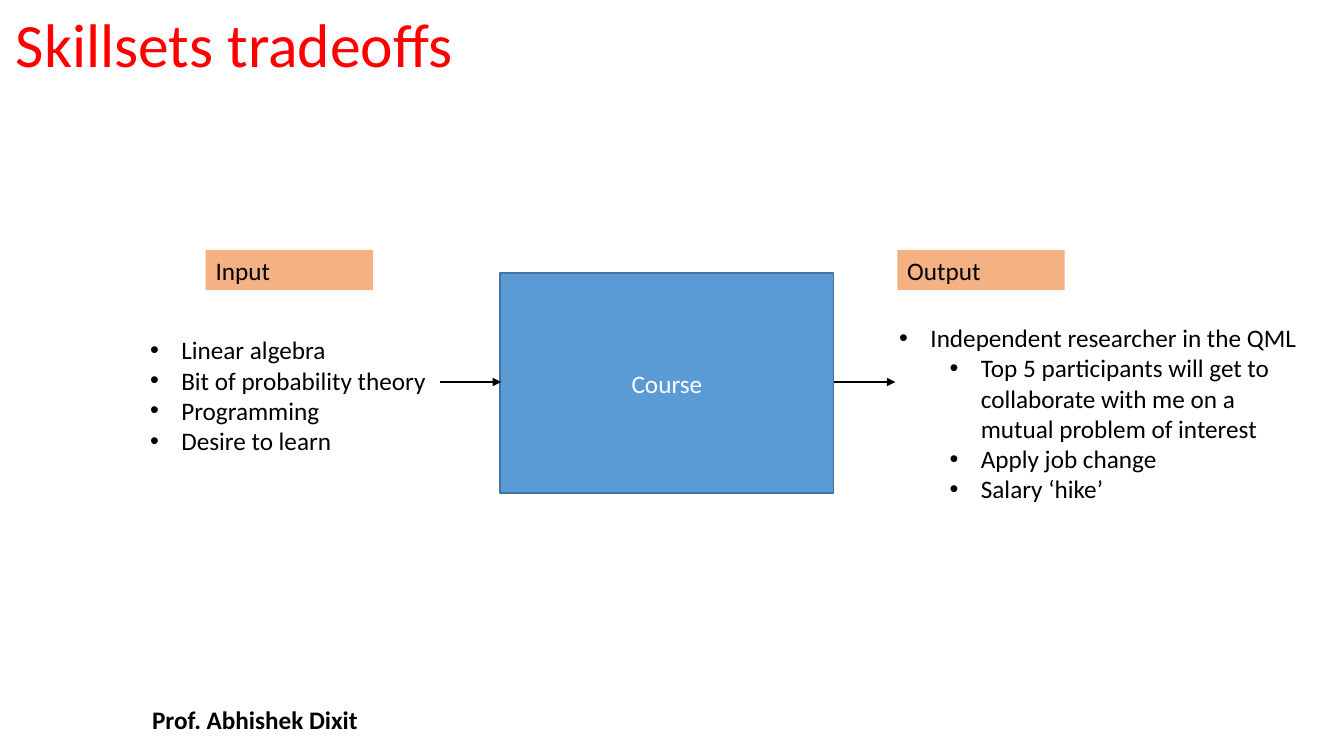
"""Build the skillsets slide: course inputs, the course, and its outputs."""
from dataclasses import dataclass

from lxml import etree
from pptx import Presentation
from pptx.dml.color import RGBColor
from pptx.enum.shapes import MSO_CONNECTOR, MSO_SHAPE
from pptx.enum.text import MSO_ANCHOR, PP_ALIGN
from pptx.oxml.ns import qn
from pptx.util import Inches, Pt

RECT = MSO_SHAPE.RECTANGLE
STRAIGHT = MSO_CONNECTOR.STRAIGHT
TOP, MIDDLE = MSO_ANCHOR.TOP, MSO_ANCHOR.MIDDLE
LEFT, CENTER = PP_ALIGN.LEFT, PP_ALIGN.CENTER
FONT = "Calibri"
ARROW_Y, ARROW_LENGTH = 3.79, 0.61
BULLET_INDENT, LEVEL_INDENT = 0.31, 0.5


@dataclass
class Item:
    text: str
    level: int = 0


@dataclass
class Box:
    left: float
    top: float
    width: float
    height: float
    items: list[Item]
    size: int = 18
    color: str = "000000"
    bold: bool = False
    bullets: bool = False
    fill: str | None = None
    line: str | None = None
    anchor: MSO_ANCHOR = TOP
    align: PP_ALIGN = LEFT
    spacing: float = 1.0


BOXES = [
    Box(1.41, 6.94, 2.37, 0.4, [Item("Prof. Abhishek Dixit")], bold=True),
    Box(0.06, 0.03, 13.2, 0.89, [Item("Skillsets tradeoffs")], size=44,
        color="FF0000", anchor=MIDDLE, spacing=0.9),
    Box(4.96, 2.71, 3.31, 2.18, [Item("Course")], color="FFFFFF",
        fill="5B9BD5", line="43739E", anchor=MIDDLE, align=CENTER),
    Box(1.39, 3.27, 3.06, 1.31, [
        Item("Linear algebra"),
        Item("Bit of probability theory"),
        Item("Programming"),
        Item("Desire to learn"),
    ], bullets=True),
    Box(2.04, 2.48, 1.66, 0.4, [Item("Input")], fill="F4B183"),
    Box(8.9, 2.48, 1.66, 0.4, [Item("Output")], fill="F4B183"),
    Box(8.82, 3.15, 4.29, 1.92, [
        Item("Independent researcher in the QML"),
        Item("Top 5 participants will get to collaborate with me on a "
             "mutual problem of interest", 1),
        Item("Apply job change", 1),
        Item("Salary ‘hike’", 1),
    ], bullets=True),
]
ARROW_STARTS = [4.36, 8.27]


def rgb(value: str) -> RGBColor:
    return RGBColor.from_string(value)


def add_bullet(p, level: int) -> None:
    p.level = level
    pPr = p._p.get_or_add_pPr()
    pPr.set("marL", str(Inches(BULLET_INDENT + LEVEL_INDENT * level)))
    pPr.set("indent", str(-Inches(BULLET_INDENT)))
    etree.SubElement(pPr, qn("a:buFont"), typeface="Arial")
    etree.SubElement(pPr, qn("a:buChar"), char="•")


def add_box(s, box: Box) -> None:
    frame = [Inches(v) for v in (box.left, box.top, box.width, box.height)]
    if box.fill:
        sp = s.shapes.add_shape(RECT, *frame)
        sp.shadow.inherit = False
        sp.fill.solid()
        sp.fill.fore_color.rgb = rgb(box.fill)
        if box.line:
            sp.line.color.rgb = rgb(box.line)
            sp.line.width = Pt(1)
        else:
            sp.line.fill.background()
    else:
        sp = s.shapes.add_textbox(*frame)
    tf = sp.text_frame
    tf.word_wrap = True
    tf.vertical_anchor = box.anchor
    for i, item in enumerate(box.items):
        p = tf.add_paragraph() if i else tf.paragraphs[0]
        p.alignment = box.align
        p.line_spacing = box.spacing
        if box.bullets:
            add_bullet(p, item.level)
        r = p.add_run()
        r.text = item.text
        r.font.name = FONT
        r.font.size = Pt(box.size)
        r.font.bold = box.bold
        r.font.color.rgb = rgb(box.color)


def add_arrow(s, left: float) -> None:
    y = Inches(ARROW_Y)
    cxn = s.shapes.add_connector(STRAIGHT, Inches(left), y,
                                 Inches(left + ARROW_LENGTH), y)
    cxn.line.color.rgb = rgb("000000")
    cxn.line.width = Pt(1.25)
    etree.SubElement(cxn.line._get_or_add_ln(), qn("a:tailEnd"), type="triangle")
    etree.SubElement(cxn._element.spPr, qn("a:effectLst"))


def main() -> None:
    prs = Presentation()
    prs.slide_width, prs.slide_height = Inches(13.33), Inches(7.5)
    s = prs.slides.add_slide(prs.slide_layouts[6])
    for box in BOXES:
        add_box(s, box)
    for left in ARROW_STARTS:
        add_arrow(s, left)
    prs.save("out.pptx")


if __name__ == "__main__":
    main()
